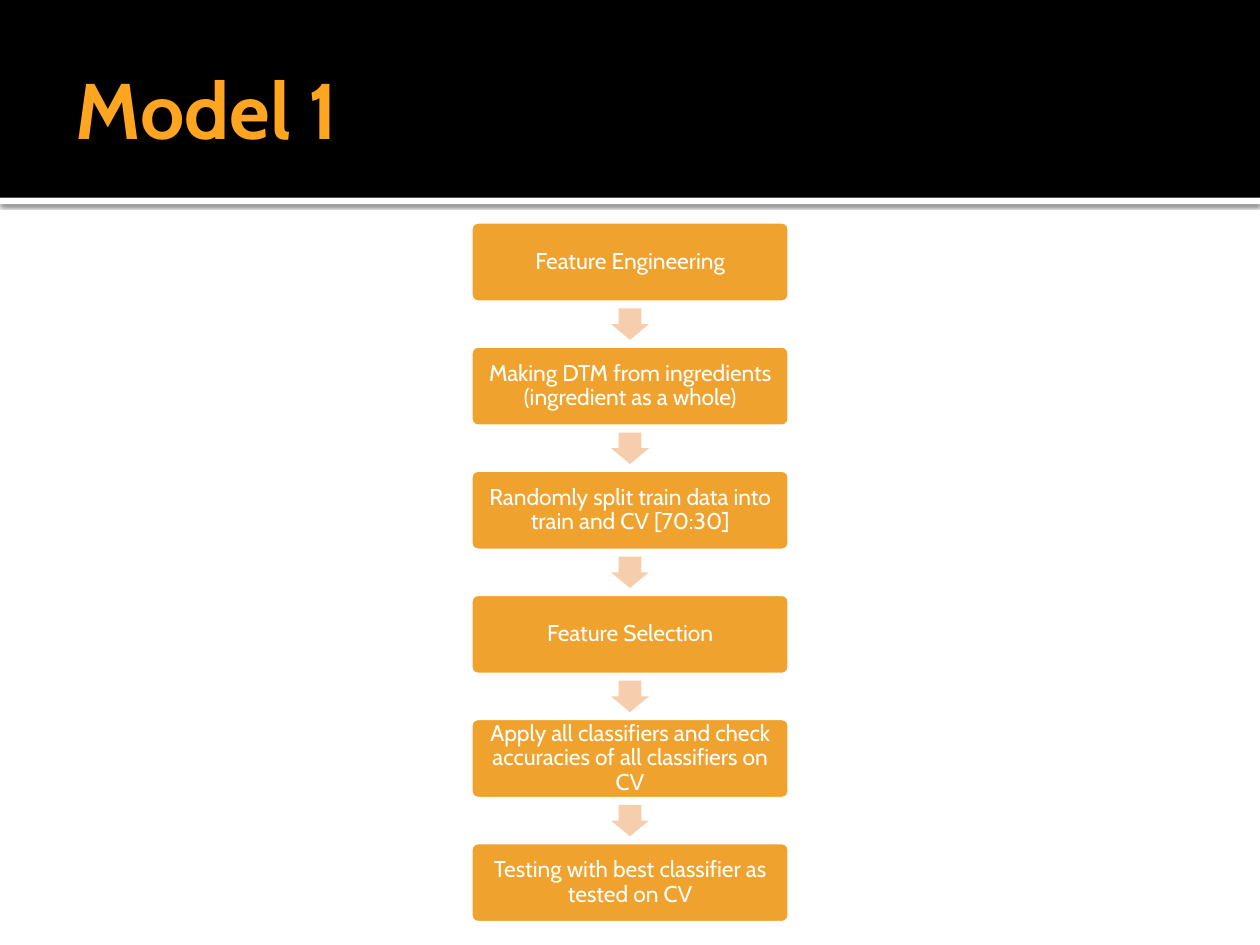
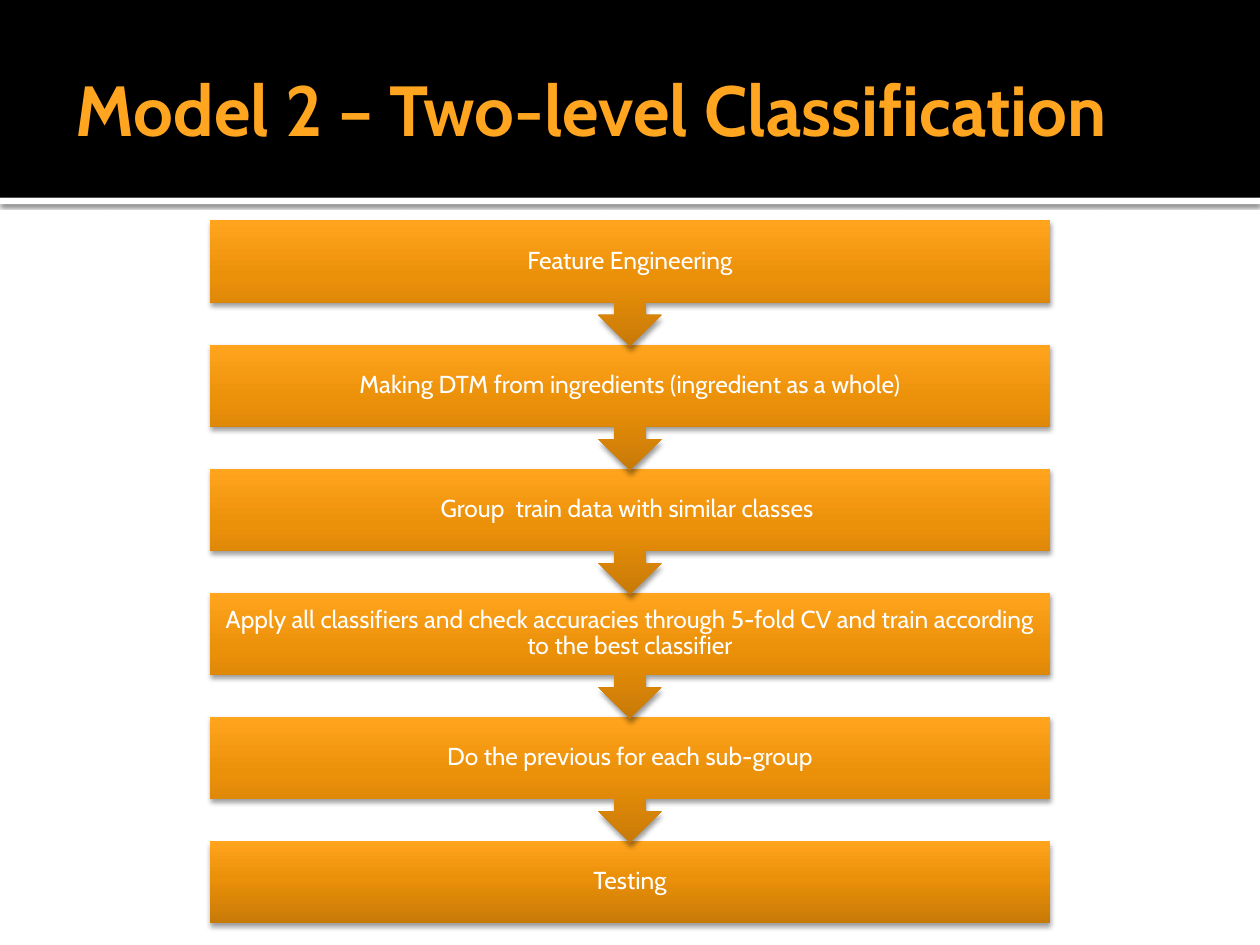
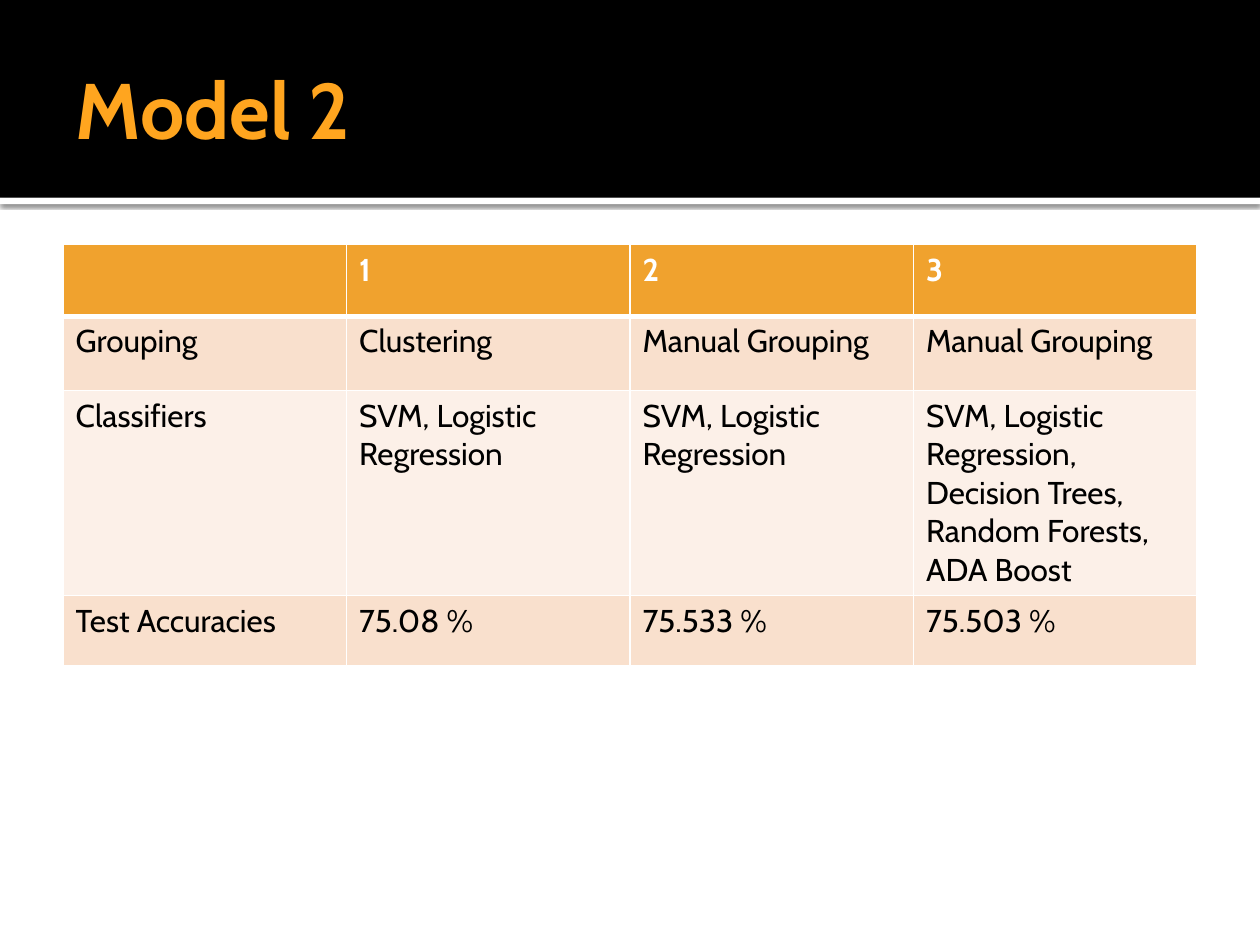
from lxml.etree import SubElement
from pptx import Presentation
from pptx.dml.color import RGBColor
from pptx.enum.shapes import MSO_SHAPE
from pptx.enum.text import MSO_ANCHOR, MSO_AUTO_SIZE, PP_ALIGN
from pptx.oxml.ns import qn
from pptx.util import Inches, Pt

FONT = "Cabin"
BLACK = RGBColor(0x00, 0x00, 0x00)
WHITE = RGBColor(0xFF, 0xFF, 0xFF)
ORANGE = RGBColor(0xFF, 0xA5, 0x1F)
AMBER = RGBColor(0xF0, 0xA2, 0x2E)
PEACH = RGBColor(0xF6, 0xCE, 0xAD)
ROW_DARK = RGBColor(0xF9, 0xE0, 0xCD)
ROW_LIGHT = RGBColor(0xFC, 0xF0, 0xE8)
GLOW = [
    (0, RGBColor(0xC8, 0x7A, 0x07)),
    (55, RGBColor(0xEB, 0x90, 0x09)),
    (100, RGBColor(0xFF, 0xA4, 0x1C)),
]
COLS, ROWS = 100, 75
FLOW_TOP, FLOW_PITCH = 17.5, 9.85


class Deck:
    def __init__(self):
        self.prs = Presentation()
        self.prs.slide_width, self.prs.slide_height = Inches(10), Inches(7.5)
        self.layout = self.prs.slide_layouts[5]
        self.slide = None

    def place(self, left, top, width, height):
        col, row = self.prs.slide_width / COLS, self.prs.slide_height / ROWS
        return [round(n) for n in (left * col, top * row, width * col, height * row)]

    def style(self, p, size, color, bold=False):
        for r in p.runs:
            r.font.name, r.font.size, r.font.bold = FONT, Pt(size), bold
            r.font.color.rgb = color

    def insets(self, tf, left, other):
        tf.margin_left = Inches(left)
        tf.margin_top = tf.margin_right = tf.margin_bottom = Inches(other)
        tf.vertical_anchor = MSO_ANCHOR.MIDDLE

    def shared_parts(self):
        bands = [
            self.shape(MSO_SHAPE.RECTANGLE, (0, 15.7, COLS, 0.5), WHITE),
            self.shape(MSO_SHAPE.RECTANGLE, (0, 0, COLS, 15.7), BLACK),
        ]
        self.shadow(bands[0], 60, 2.5, 0.8)
        for i, sp in enumerate(bands, 2):
            self.layout.shapes._spTree.insert(i, sp._element)
        title = self.layout.placeholders[0]
        title.left, title.top, title.width, title.height = self.place(5, 1.7, 90, 13.7)
        self.insets(title.text_frame, 0.1, 0.05)

    def add_slide(self, title, size=45):
        first = self.slide is None
        self.slide = self.prs.slides.add_slide(self.layout)
        if first:
            self.shared_parts()
        tf = self.slide.shapes.title.text_frame
        tf.text = title
        tf.auto_size = MSO_AUTO_SIZE.NONE
        p = tf.paragraphs[0]
        p.alignment = PP_ALIGN.LEFT
        self.style(p, size, ORANGE, True)

    def shape(self, kind, box, color=None):
        sp = self.slide.shapes.add_shape(kind, *self.place(*box))
        sp.shadow.inherit = False
        if color is None:
            self.gradient(sp)
        else:
            sp.fill.solid()
            sp.fill.fore_color.rgb = color
        sp.line.fill.background()
        return sp

    def gradient(self, sp):
        sp.fill.gradient()
        sp.fill.gradient_angle = 90
        stops = sp._element.spPr.find(qn("a:gradFill")).find(qn("a:gsLst"))
        for gs in list(stops):
            stops.remove(gs)
        for pos, color in GLOW:
            gs = SubElement(stops, qn("a:gs"), pos=str(pos * 1000))
            SubElement(gs, qn("a:srgbClr"), val=str(color))

    def shadow(self, sp, alpha, blur, dist):
        effects = sp._element.spPr.find(qn("a:effectLst"))
        outer = SubElement(effects, qn("a:outerShdw"), blurRad=str(Pt(blur)),
                           dist=str(Pt(dist)), dir="5400000", rotWithShape="0")
        color = SubElement(outer, qn("a:srgbClr"), val=str(BLACK))
        SubElement(color, qn("a:alpha"), val=str(alpha * 1000))

    def label(self, sp, text, size, inset):
        tf = sp.text_frame
        tf.word_wrap = True
        self.insets(tf, inset, inset)
        tf.text = text
        p = tf.paragraphs[0]
        p.alignment, p.line_spacing = PP_ALIGN.CENTER, 0.9
        self.style(p, size, WHITE)

    def arrow_flow(self, steps):
        width, height = 25.5, 6.6
        for i, text in enumerate(steps):
            top = FLOW_TOP + i * FLOW_PITCH
            sp = self.shape(MSO_SHAPE.ROUNDED_RECTANGLE,
                            ((COLS - width) / 2, top, width, height), AMBER)
            sp.adjustments[0] = 0.1
            sp.line.color.rgb, sp.line.width = WHITE, Pt(3.78)
            self.label(sp, text, 13, 0.05)
            if i < len(steps) - 1:
                gap = FLOW_PITCH - height
                arrow = self.shape(MSO_SHAPE.DOWN_ARROW,
                                   (COLS / 2 - 1.5, top + height + (gap - 2.5) / 2, 3, 2.5), PEACH)
                arrow.adjustments[0], arrow.adjustments[1] = 0.6, 0.5

    def callout_flow(self, steps):
        width, last = 66.7, len(steps) - 1
        for i in range(last, -1, -1):
            kind, height = MSO_SHAPE.DOWN_ARROW_CALLOUT, 10
            if i == last:
                kind, height = MSO_SHAPE.RECTANGLE, 6.5
            sp = self.shape(kind, ((COLS - width) / 2, FLOW_TOP + i * FLOW_PITCH, width, height))
            self.shadow(sp, 38, 3.1, 2)
            self.label(sp, steps[i], 14, 0.11)

    def borders(self, cell, bottom):
        tcPr = cell._tc.get_or_add_tcPr()
        for i, (side, width) in enumerate([("L", 1), ("R", 1), ("T", 1), ("B", bottom)]):
            ln = SubElement(tcPr, qn("a:ln" + side), w=str(Pt(width)))
            fill = SubElement(ln, qn("a:solidFill"))
            SubElement(fill, qn("a:srgbClr"), val=str(WHITE))
            tcPr.insert(i, ln)

    def table(self, rows, heights, left, top, width):
        box = self.place(left, top, width, sum(heights))
        table = self.slide.shapes.add_table(len(rows), len(rows[0]), *box).table
        for i, row in enumerate(rows):
            table.rows[i].height = self.place(0, 0, 0, heights[i])[3]
            header = i == 0
            color = AMBER if header else ROW_DARK if i % 2 else ROW_LIGHT
            for j, text in enumerate(row):
                cell = table.cell(i, j)
                cell.text = text
                cell.fill.solid()
                cell.fill.fore_color.rgb = color
                self.borders(cell, 3 if header else 1)
                self.style(cell.text_frame.paragraphs[0], 18, WHITE if header else BLACK, header)


deck = Deck()

deck.add_slide("Model 1")
deck.arrow_flow([
    "Feature Engineering",
    "Making DTM from ingredients (ingredient as a whole)",
    "Randomly split train data into train and CV [70:30]",
    "Feature Selection",
    "Apply all classifiers and check accuracies of all classifiers on CV",
    "Testing with best classifier as tested on CV",
])

deck.add_slide("Model 2 – Two-level Classification", 40.5)
deck.callout_flow([
    "Feature Engineering",
    "Making DTM from ingredients (ingredient as a whole)",
    "Group  train data with similar classes ",
    "Apply all classifiers and check accuracies through 5-fold CV "
    "and train according to the best classifier",
    "Do the previous for each sub-group",
    "Testing",
])

deck.add_slide("Model 2")
deck.table([
    ["", "1", "2", "3"],
    ["Grouping", "Clustering", "Manual Grouping", "Manual Grouping"],
    ["Classifiers", "SVM, Logistic Regression", "SVM, Logistic Regression",
     "SVM, Logistic Regression, Decision Trees, Random Forests, ADA Boost"],
    ["Test Accuracies", "75.08 %", "75.533 %", "75.503 %"],
], heights=[5.7, 5.9, 16.2, 5.6], left=5, top=19.4, width=90)

deck.prs.save("out.pptx")
